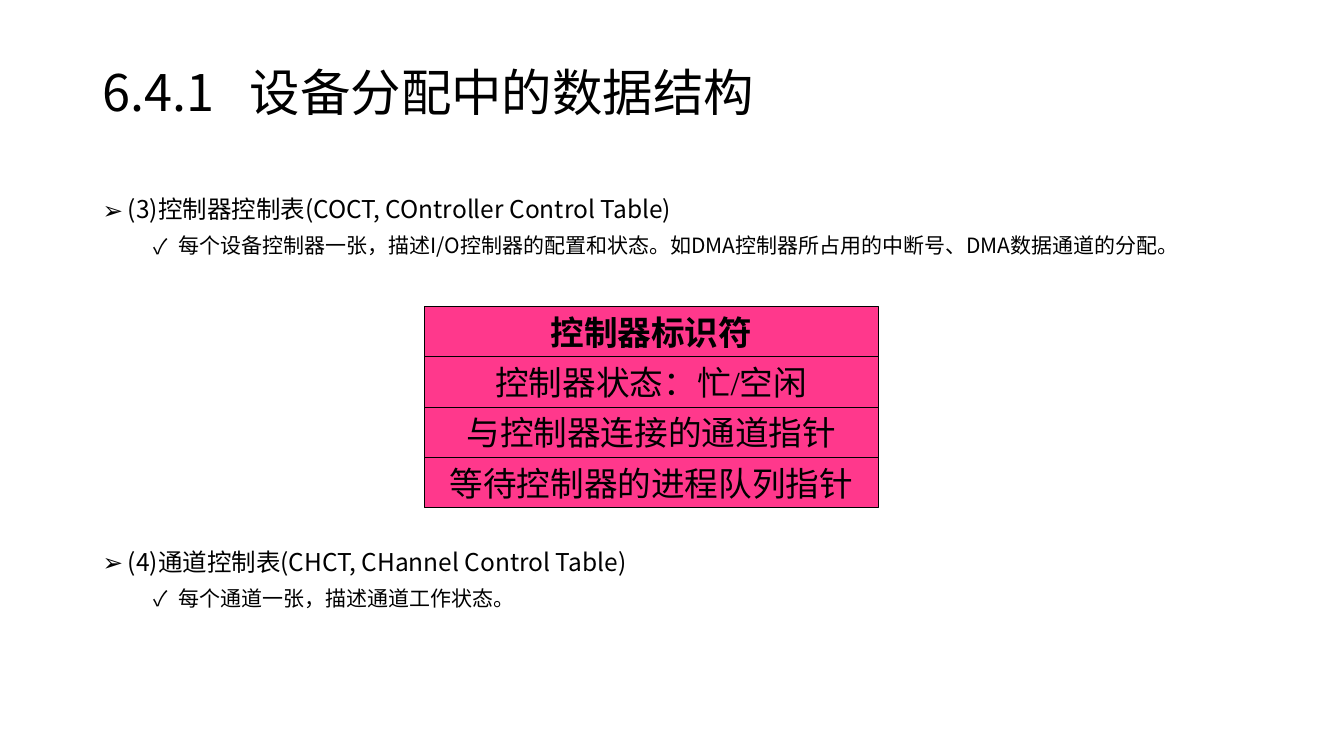
"""Builds the slide on data structures used in device allocation."""
from lxml import etree
from pptx import Presentation
from pptx.dml.color import RGBColor
from pptx.enum.shapes import MSO_SHAPE
from pptx.enum.text import MSO_ANCHOR, PP_ALIGN
from pptx.oxml.ns import qn
from pptx.util import Inches, Pt

RECT = MSO_SHAPE.RECTANGLE
MIDDLE = MSO_ANCHOR.MIDDLE
LEFT, CENTER = PP_ALIGN.LEFT, PP_ALIGN.CENTER
SANS, SERIF = "Noto Sans CJK SC", "Times New Roman"
BLACK, PINK = "000000", "FF388C"


def rgb(value):
    return RGBColor.from_string(value)


def write(p, text, size, font=SANS, bold=False, align=LEFT, spacing=1.0,
          before=0, bullet=None, indent=0, tab=None):
    pPr = p._p.get_or_add_pPr()
    if bullet:
        pPr.set("marL", str(Inches(indent)))
        pPr.set("indent", str(Inches(-0.25)))
        etree.SubElement(pPr, qn("a:buFont"), typeface=SANS)
        etree.SubElement(pPr, qn("a:buChar"), char=bullet)
    if tab:
        tabs = etree.SubElement(pPr, qn("a:tabLst"))
        etree.SubElement(tabs, qn("a:tab"), pos=str(Inches(tab)), algn="l")
    p.alignment = align
    p.line_spacing = spacing
    p.space_before = Pt(before)
    r = p.add_run()
    r.text = text
    r.font.size = Pt(size)
    r.font.name = font
    r.font.bold = bold
    r.font.color.rgb = rgb(BLACK)
    etree.SubElement(r._r.get_or_add_rPr(), qn("a:ea"), typeface=SANS)


prs = Presentation()
prs.slide_width, prs.slide_height = Inches(13.33), Inches(7.5)
s = prs.slides.add_slide(prs.slide_layouts[6])

tf = s.shapes.add_textbox(Inches(0.92), Inches(0.4), Inches(11.5), Inches(1.09)).text_frame
tf.word_wrap = True
tf.vertical_anchor = MIDDLE
write(tf.paragraphs[0], "6.4.1\t设备分配中的数据结构", 36, spacing=0.9, tab=1.46)

sections = [
    ("(3)控制器控制表(COCT, COntroller Control Table)",
     "每个设备控制器一张，描述I/O控制器的配置和状态。如DMA控制器所占用的中断号、DMA数据通道的分配。"),
    ("(4)通道控制表(CHCT, CHannel Control Table)",
     "每个通道一张，描述通道工作状态。"),
]
for i, (heading, detail) in enumerate(sections):
    tf = s.shapes.add_textbox(Inches(0.92), Inches(1.83 + 3.5 * i),
                              Inches(11.5), Inches(1.1)).text_frame
    tf.word_wrap = True
    write(tf.paragraphs[0], heading, 17.5, spacing=1.15, bullet="➢", indent=0.25)
    p = tf.add_paragraph()
    p.level = 1
    write(p, detail, 15, spacing=1.15, before=4, bullet="✓", indent=0.75)

fields = ["控制器标识符", "控制器状态：忙/空闲", "与控制器连接的通道指针", "等待控制器的进程队列指针"]
for i, field in enumerate(fields):
    sp = s.shapes.add_shape(RECT, Inches(4.21), Inches(3.04 + 0.5 * i), Inches(4.5), Inches(0.5))
    sp.shadow.inherit = False
    sp.fill.solid()
    sp.fill.fore_color.rgb = rgb(PINK)
    sp.line.color.rgb = rgb(BLACK)
    sp.line.width = Pt(0.75)
    tf = sp.text_frame
    tf.word_wrap = False
    tf.vertical_anchor = MIDDLE
    write(tf.paragraphs[0], field, 24, font=SERIF, bold=i == 0, align=CENTER)

prs.save("out.pptx")
